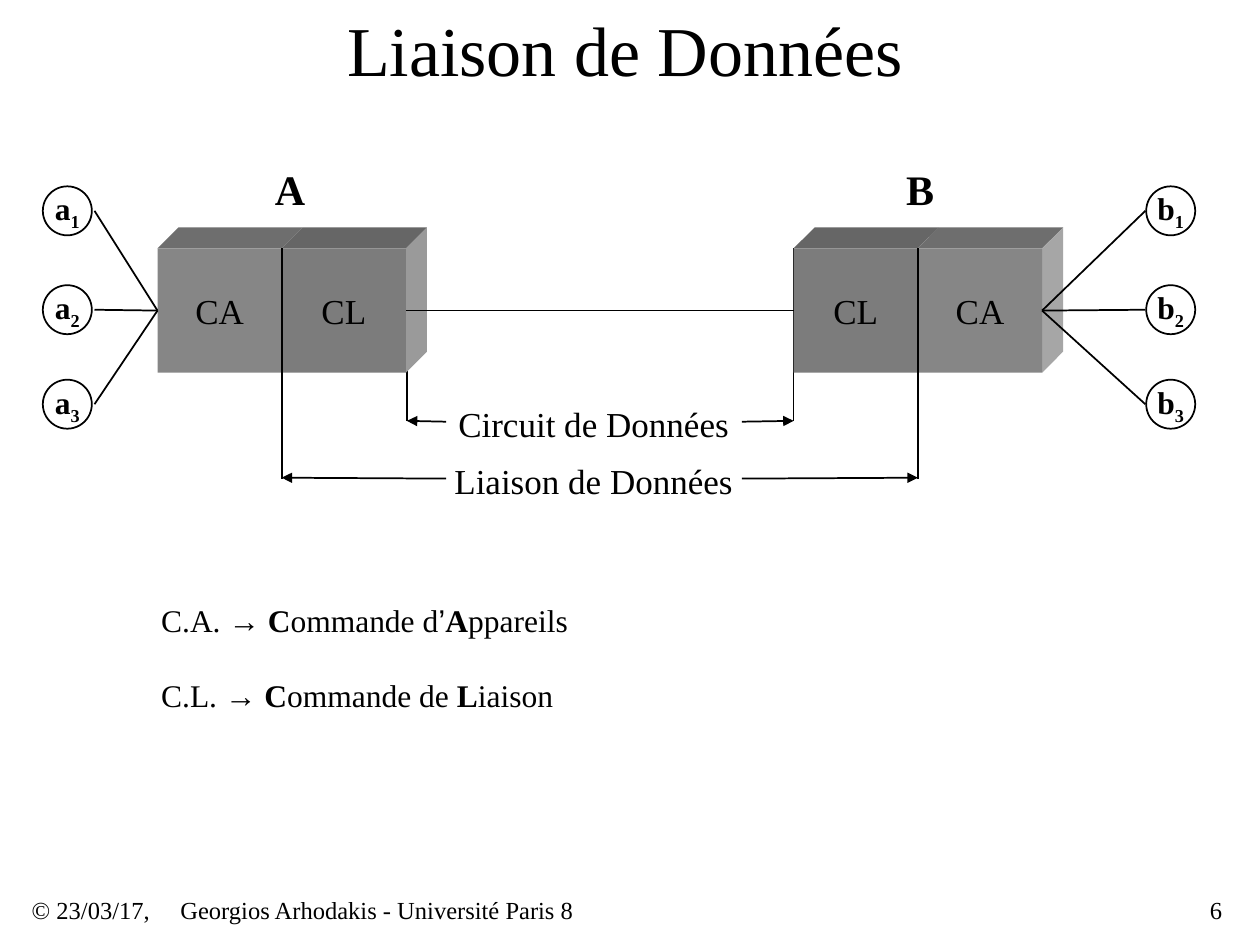
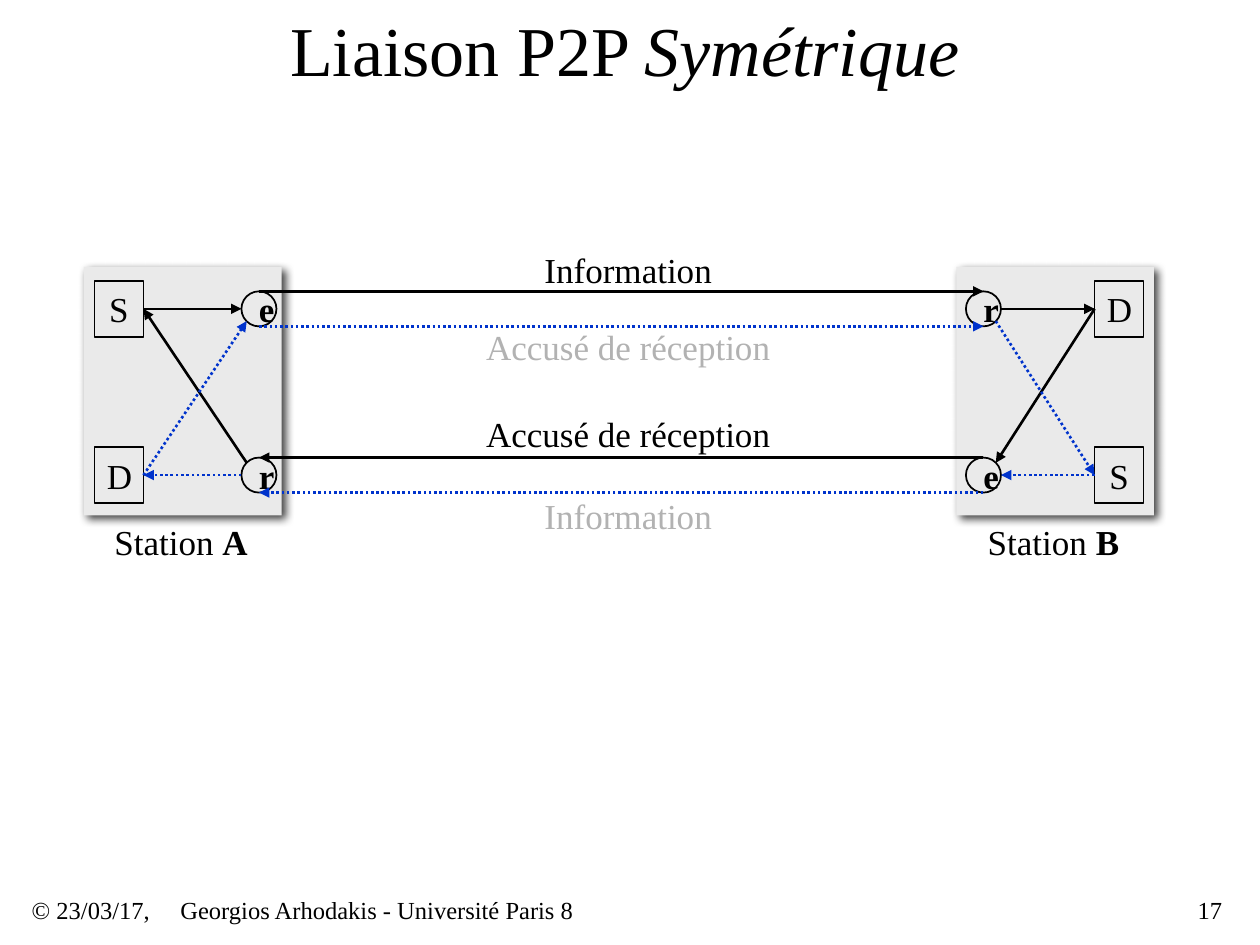
"""Build two slides on data links: the circuit and the symmetric point-to-point link."""
from lxml.etree import SubElement as Sub
from pptx import Presentation
from pptx.dml.color import RGBColor as Rgb
from pptx.enum.dml import MSO_LINE_DASH_STYLE as Dash
from pptx.enum.shapes import MSO_CONNECTOR as Wire, MSO_SHAPE as Form
from pptx.enum.text import MSO_ANCHOR as Anchor, PP_ALIGN as Align
from pptx.oxml.ns import qn
from pptx.util import Pt

INK = {"black": "000000", "blue": "0033CC", "grey": "B2B2B2", "panel": "EAEAEA"}
FACES = {
    "CA": {"front": "868686", "top": "6E6E6E", "side": "A6A6A6"},
    "CL": {"front": "7C7C7C", "top": "666666", "side": "9A9A9A"},
}
FONT = "Times New Roman"
WIDE, HIGH = 720, 540
CUBE, DEPTH = 71, 12
DOT = 20


def write(shape, runs, size, color="black", align=Align.CENTER, pad=(7.2, 3.6), wrap=True):
    """Fill a shape with one paragraph of (text, style) runs; styles are b, i, sub, arial."""
    runs = [(runs, "")] if isinstance(runs, str) else runs
    frame = shape.text_frame
    frame.word_wrap = wrap
    frame.vertical_anchor = Anchor.MIDDLE
    frame.margin_left = frame.margin_right = Pt(pad[0])
    frame.margin_top = frame.margin_bottom = Pt(pad[1])
    para = frame.paragraphs[0]
    para.alignment = align
    font = para.font
    font.name, font.size = FONT, Pt(size)
    font.color.rgb = Rgb.from_string(INK[color])
    all_bold = all("b" in style.split() for _, style in runs)
    if all_bold:
        font.bold = True
    for text, style in runs:
        run = para.add_run()
        run.text = text
        marks = style.split()
        if "b" in marks and not all_bold:
            run.font.bold = True
        if "i" in marks:
            run.font.italic = True
        if "arial" in marks:
            run.font.name = "Arial"
        if "sub" in marks:
            run._r.get_or_add_rPr().set("baseline", "-25000")


def label(slide, x, y, w, h, runs, size, **opts):
    """Add a text box."""
    write(slide.shapes.add_textbox(Pt(x), Pt(y), Pt(w), Pt(h)), runs, size, **opts)


def paint(shape, fill=None, edge=None):
    """Set fill and outline of a shape and drop its shadow."""
    shape.shadow.inherit = False
    if fill:
        shape.fill.solid()
        shape.fill.fore_color.rgb = Rgb.from_string(fill)
    else:
        shape.fill.background()
    if edge:
        shape.line.color.rgb = Rgb.from_string(edge)
        shape.line.width = Pt(1)
    else:
        shape.line.fill.background()


def form(slide, kind, x, y, w, h, fill=None, edge=None):
    """Add a painted preset shape."""
    shape = slide.shapes.add_shape(kind, Pt(x), Pt(y), Pt(w), Pt(h))
    paint(shape, fill, edge)
    return shape


def wire(slide, start, end, color="black", width=1, head=False, dots=False):
    """Draw a straight line between ends, each a point or a (shape, site) joint."""
    joints = [hasattr(spot[0], "shape_id") for spot in (start, end)]
    a, b = [(0, 0) if joint else spot for joint, spot in zip(joints, (start, end))]
    line = slide.shapes.add_connector(Wire.STRAIGHT, *map(Pt, (*a, *b)))
    if joints[0]:
        line.begin_connect(*start)
    if joints[1]:
        line.end_connect(*end)
    line.line.color.rgb = Rgb.from_string(INK[color])
    line.line.width = Pt(width)
    if dots:
        line.line.dash_style = Dash.ROUND_DOT
    if head:
        Sub(line.line._get_or_add_ln(), qn("a:tailEnd"), type="triangle")
    Sub(line._element.spPr, qn("a:effectLst"))


def frame(deck, title, number):
    """Add a slide with its title and footer."""
    slide = deck.slides.add_slide(deck.slide_layouts[6])
    label(slide, 78, 0, 558, 55.5, title, 40)
    for x, w, text, align in (
        (14.5, 142, "© 23/03/17,", Align.LEFT),
        (99.5, 368.5, "Georgios Arhodakis - Université Paris 8", Align.LEFT),
        (552, 150, str(number), Align.RIGHT),
    ):
        label(slide, x, 510, w, 20, text, 14, align=align, pad=(3.6, 1.4))
    return slide


def facet(slide, points, fill):
    """Add a filled polygon without outline."""
    build = slide.shapes.build_freeform(Pt(points[0][0]), Pt(points[0][1]))
    build.add_line_segments([(Pt(x), Pt(y)) for x, y in points[1:]])
    paint(build.convert_to_shape(), fill)


def block(slide, x, y, names):
    """Draw two adjoining extruded boxes and return their front faces."""
    fronts = []
    for i, name in enumerate(names):
        left, right = x + i * CUBE, x + (i + 1) * CUBE
        tone = FACES[name]
        facet(slide, [(left, y), (left + DEPTH, y - DEPTH),
                      (right + DEPTH, y - DEPTH), (right, y)], tone["top"])
        if i:
            facet(slide, [(right, y), (right + DEPTH, y - DEPTH),
                          (right + DEPTH, y + CUBE - DEPTH), (right, y + CUBE)], tone["side"])
        front = form(slide, Form.RECTANGLE, left, y, CUBE, CUBE, tone["front"])
        write(front, name, 20, wrap=False)
        fronts.append(front)
    wire(slide, (x + CUBE, y), (x + CUBE, y + 131.5))
    return fronts


def fan(slide, x, edge, letter, joint):
    """Draw three numbered terminals and their lines to one joint."""
    for n, mid in enumerate((120.5, 177, 231), 1):
        dot = form(slide, Form.FLOWCHART_CONNECTOR, x, mid - 14, 28, 28, edge=INK["black"])
        write(dot, [(letter, "b"), (str(n), "b sub")], 18, pad=(0, 0), wrap=False)
        wire(slide, (edge, mid), joint)


def span(slide, text, left, right, y):
    """Draw a dimension: a centred text with an arrow out to each side."""
    label(slide, 255, y - 10.5, 168.5, 24, text, 20, pad=(0, 0))
    for near, far in ((255, left), (424, right)):
        wire(slide, (near, y + 0.5), (far, y), head=True)


def circuit(deck):
    """Build the slide on the data link between A and B."""
    slide = frame(deck, "Liaison de Données", 6)
    left, right, top = 90, 453.5, 142
    inner = left + 2 * CUBE + 0.5
    for x in (inner, right):
        wire(slide, (x, top), (x, 240.5))
    ca_a, cl_a = block(slide, left, top, ("CA", "CL"))
    cl_b, ca_b = block(slide, right, top, ("CL", "CA"))
    fan(slide, 24.5, 54, "a", (ca_a, 1))
    fan(slide, 655, 654.5, "b", (ca_b, 3))
    wire(slide, (cl_a, 3), (cl_b, 1))
    span(slide, "Circuit de Données", inner, right, 240.5)
    span(slide, "Liaison de Données", left + CUBE, right + CUBE, 273)
    for x, name in ((150, "A"), (510, "B")):
        label(slide, x, 90, 31.5, 36, [(name, "b")], 24)
    keys = (
        [("C.A. ", ""), ("→ C", "b"), ("ommande d", ""), ("’", "arial"),
         ("A", "b"), ("ppareils", "")],
        [("C.L. ", ""), ("→ C", "b"), ("ommande de ", ""), ("L", "b"), ("iaison", "")],
    )
    for i, key in enumerate(keys):
        label(slide, 85, 340 + 42.5 * i, 327.5, 29, key, 18, align=Align.LEFT)


def shade(shape):
    """Give a shape a soft shadow to the lower right."""
    effects = shape._element.spPr.find(qn("a:effectLst"))
    cast = Sub(effects, qn("a:outerShdw"), blurRad=str(Pt(5)), dist=str(Pt(3)),
               dir="2700000", algn="ctr", rotWithShape="0")
    Sub(Sub(cast, qn("a:srgbClr"), val=INK["black"]), qn("a:alpha"), val="75000")


def station(slide, x, y, name, box_x, dot_x, boxes, dots, out):
    """Draw a station: panel, two boxes, two dots, their arrows and the name."""
    shade(form(slide, Form.RECTANGLE, x, y, 113, 142, INK["panel"]))
    label(slide, x + 3, y + 141.5, 105, 31, [("Station ", ""), (name, "b")], 20)
    side, lean = (3, -1) if out else (1, 1)
    ports, mids = [], []
    for row, (letter, mark) in enumerate(zip(boxes, dots)):
        mid = y + 24 + 95 * row
        box = form(slide, Form.RECTANGLE, x + box_x, mid - 16, 28, 32, edge=INK["black"])
        write(box, letter, 20)
        dot = form(slide, Form.OVAL, x + dot_x, mid - DOT / 2, DOT, DOT, edge=INK["black"])
        write(dot, [(mark, "b")], 20)
        ports.append((box, side))
        mids.append((x + dot_x + DOT / 2, mid))
    high, low = [(cx + lean * DOT / 2, cy) for cx, cy in mids]
    slant = 0.35 * DOT
    high_in = (mids[0][0] + lean * slant, mids[0][1] + slant)
    low_in = (mids[1][0] + lean * slant, mids[1][1] - slant)
    for start, end, color in (
        (ports[0], high, "black"), (low, ports[1], "blue"),
        (low_in, ports[0], "black"), (ports[1], high_in, "blue"),
    ):
        ends = (start, end) if out else (end, start)
        wire(slide, *ends, color, 1.5, True, color == "blue")
    return mids


def link(slide, start, end, top, low, low_y):
    """Draw a solid and a dotted arrow between two dots with a text on each."""
    for shift, color in ((-DOT / 2, "black"), (DOT / 2, "blue")):
        wire(slide, (start[0], start[1] + shift), (end[0], end[1] + shift),
             color, 1.5, True, color == "blue")
    label(slide, 275.5, top[1], 167, 24, top[0], 20, pad=(0, 0))
    label(slide, 275.5, low_y, 167, 24, low, 20, color="grey", pad=(0, 0))


def mutual(deck):
    """Build the slide on the symmetric point-to-point link."""
    slide = frame(deck, [("Liaison P2P ", ""), ("Symétrique", "i")], 17)
    a_high, a_low = station(slide, 48, 152.5, "A", 6, 90, "SD", "er", True)
    b_high, b_low = station(slide, 546.5, 152.5, "B", 79, 5.5, "DS", "re", False)
    info, reply = "Information", "Accusé de réception"
    link(slide, a_high, b_high, (info, 142), reply, 186)
    link(slide, b_low, a_low, (reply, 235.5), info, 282.5)


def main():
    """Build and save the deck."""
    deck = Presentation()
    deck.slide_width, deck.slide_height = Pt(WIDE), Pt(HIGH)
    circuit(deck)
    mutual(deck)
    deck.save("out.pptx")


if __name__ == "__main__":
    main()
